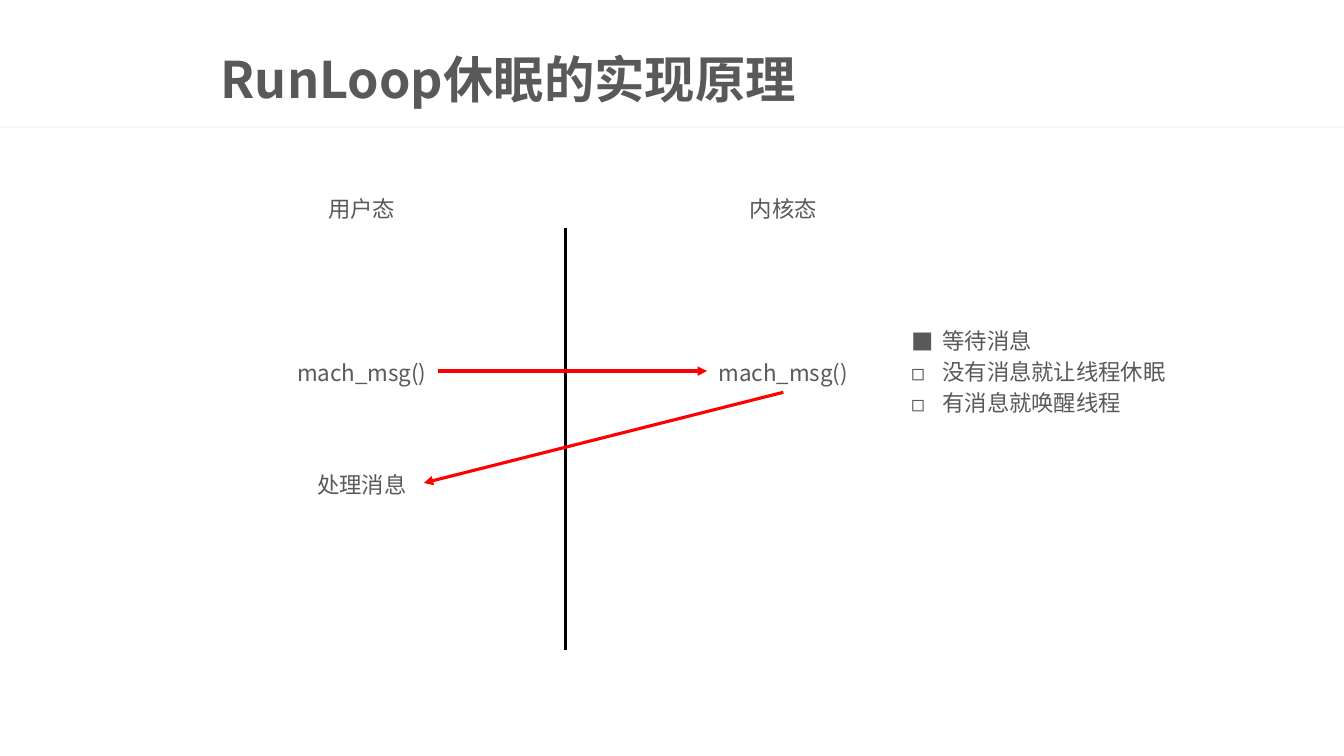
from dataclasses import dataclass

from lxml import etree
from pptx import Presentation
from pptx.dml.color import RGBColor
from pptx.enum.shapes import MSO_CONNECTOR, MSO_SHAPE
from pptx.enum.text import MSO_ANCHOR, PP_ALIGN
from pptx.oxml.ns import qn
from pptx.util import Cm, Pt

STRAIGHT = MSO_CONNECTOR.STRAIGHT
RECT = MSO_SHAPE.RECTANGLE
MIDDLE = MSO_ANCHOR.MIDDLE
LEFT, CENTER = PP_ALIGN.LEFT, PP_ALIGN.CENTER
BOTTOM_SIDE, LEFT_SIDE, RIGHT_SIDE = 2, 1, 3

FONT = "Noto Sans CJK SC"
GREY, BLACK, RED, PALE = "595959", "000000", "FF0000", "EAEAEA"
USER_X, KERNEL_X = 9.12, 19.74
LABEL_HEIGHT = 1.07


@dataclass
class Label:
    name: str
    text: str
    center_x: float
    center_y: float
    width: float


@dataclass
class Arrow:
    source: str
    source_side: int
    target: str
    target_side: int


@dataclass
class Item:
    bullet: str
    text: str


LABELS = [
    Label("user", "用户态", USER_X, 5.21, 3.05),
    Label("kernel", "内核态", KERNEL_X, 5.21, 3.05),
    Label("user_call", "mach_msg()", USER_X, 9.35, 3.84),
    Label("kernel_call", "mach_msg()", KERNEL_X, 9.35, 3.84),
    Label("handle", "处理消息", USER_X, 12.17, 3.12),
]
ARROWS = [
    Arrow("user_call", RIGHT_SIDE, "kernel_call", LEFT_SIDE),
    Arrow("kernel_call", BOTTOM_SIDE, "handle", RIGHT_SIDE),
]
ITEMS = [
    Item("■", "等待消息"),
    Item("◻", "没有消息就让线程休眠"),
    Item("◻", "有消息就唤醒线程"),
]


def rgb(value: str) -> RGBColor:
    return RGBColor.from_string(value)


def add_text(slide, lines: list[str], left: float, top: float, width: float,
             height: float, size: int = 16, bold: bool = False,
             align: PP_ALIGN = LEFT, spacing=Pt(22)):
    sp = slide.shapes.add_textbox(Cm(left), Cm(top), Cm(width), Cm(height))
    tf = sp.text_frame
    tf.text = "\n".join(lines)
    tf.word_wrap = align == LEFT
    tf.vertical_anchor = MIDDLE
    for p in tf.paragraphs:
        p.alignment = align
        p.line_spacing = spacing
        for r in p.runs:
            r.font.name = FONT
            r.font.size = Pt(size)
            r.font.bold = bold
            r.font.color.rgb = rgb(GREY)
            ea = etree.SubElement(r.font._element, qn("a:ea"))
            ea.set("typeface", FONT)
    return sp


def add_label(slide, label: Label):
    return add_text(slide, [label.text], label.center_x - label.width / 2,
                    label.center_y - LABEL_HEIGHT / 2, label.width,
                    LABEL_HEIGHT, align=CENTER)


def add_line(slide, color: str, x1: float = 0, y1: float = 0,
             x2: float = 0, y2: float = 0):
    line = slide.shapes.add_connector(STRAIGHT, Cm(x1), Cm(y1), Cm(x2), Cm(y2))
    line.line.color.rgb = rgb(color)
    line.line.width = Pt(2.25)
    etree.SubElement(line._element.spPr, qn("a:effectLst"))
    return line


def add_arrow(slide, arrow: Arrow, boxes: dict) -> None:
    line = add_line(slide, RED)
    line.begin_connect(boxes[arrow.source], arrow.source_side)
    line.end_connect(boxes[arrow.target], arrow.target_side)
    etree.SubElement(line.line._get_or_add_ln(), qn("a:tailEnd")).set("type", "triangle")


def add_bullets(slide, items: list[Item]) -> None:
    sp = add_text(slide, [item.text for item in items], 22.71, 7.9, 7.7, 2.84)
    for p, item in zip(sp.text_frame.paragraphs, items):
        pPr = p._p.get_or_add_pPr()
        pPr.set("marL", str(Cm(0.79)))
        pPr.set("indent", str(-Cm(0.79)))
        etree.SubElement(pPr, qn("a:buFont")).set("typeface", FONT)
        etree.SubElement(pPr, qn("a:buChar")).set("char", item.bullet)


def add_rule(slide, width: int) -> None:
    sp = slide.shapes.add_shape(RECT, 0, Cm(3.18), width, Cm(0.05))
    sp.shadow.inherit = False
    sp.fill.solid()
    sp.fill.fore_color.rgb = rgb(PALE)
    sp.line.fill.background()
    color = sp._element.spPr.find(qn("a:solidFill")).find(qn("a:srgbClr"))
    etree.SubElement(color, qn("a:alpha")).set("val", "32000")


def main() -> None:
    prs = Presentation()
    prs.slide_width = Cm(33.87)
    prs.slide_height = Cm(19.05)
    slide = prs.slides.add_slide(prs.slide_layouts[6])
    add_rule(slide, prs.slide_width)
    add_text(slide, ["RunLoop休眠的实现原理"], 5.31, 1.09, 28.02, 1.98,
             size=36, bold=True, spacing=0.9)
    add_line(slide, BLACK, 14.25, 5.74, 14.25, 16.38)
    boxes = {label.name: add_label(slide, label) for label in LABELS}
    for arrow in ARROWS:
        add_arrow(slide, arrow, boxes)
    add_bullets(slide, ITEMS)
    prs.save("out.pptx")


if __name__ == "__main__":
    main()
